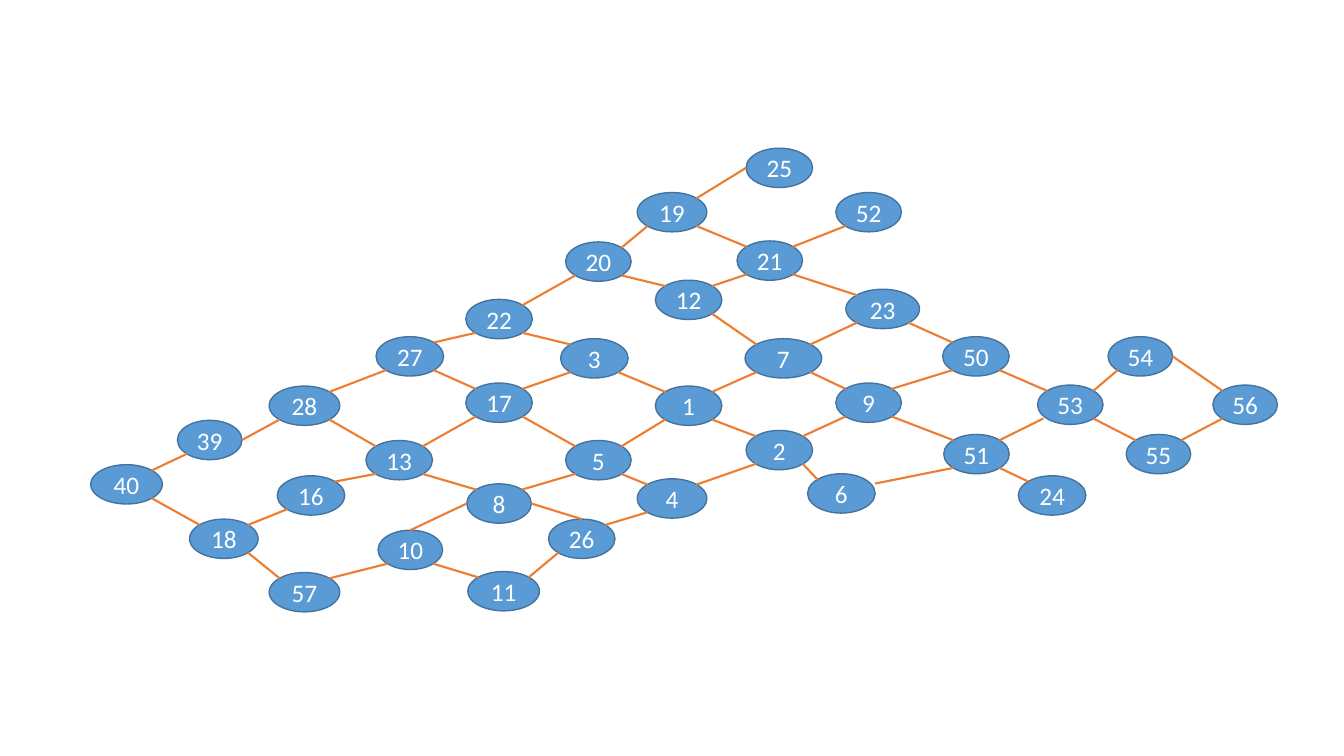
"""Draw a network of numbered ellipses joined by straight links."""
from lxml import etree
from pptx import Presentation
from pptx import util as u
from pptx.dml.color import RGBColor
from pptx.enum import shapes, text
from pptx.oxml.ns import qn

BLUE = RGBColor(0x5B, 0x9B, 0xD5)
DARK_BLUE = RGBColor(0x43, 0x73, 0x9E)
ORANGE = RGBColor(0xED, 0x7D, 0x31)
WHITE = RGBColor(0xFF, 0xFF, 0xFF)

CELL = u.Inches(0.1)
NODE_ROWS = 3.9
FONT = {"name": "Calibri", "size": u.Pt(18)}
FRAME = {"margin_left": 0, "margin_right": 0, "word_wrap": True,
         "vertical_anchor": text.MSO_ANCHOR.MIDDLE}

# number: (column, row, columns wide)
NODES = {
    25: (74, 14.7, 6.6), 54: (109.9, 33.4, 6.4), 56: (120.3, 38.2, 6.4),
    19: (63.2, 19.1, 6.9), 21: (73.1, 23.9, 6.5), 23: (83.9, 28.7, 7.3),
    50: (93.5, 33.4, 6.6), 52: (82.9, 19.1, 6.5), 53: (102.9, 38.2, 6.5),
    55: (111.7, 43.1, 6.4), 20: (56.1, 24, 6.5), 12: (65, 27.8, 6.6),
    7: (73.9, 33.6, 7.6), 9: (82.9, 38, 6.5), 51: (93.6, 43.1, 6.5),
    24: (101, 47.2, 6.7), 22: (46.2, 29.7, 6.6), 3: (55.6, 33.6, 6.7),
    1: (65, 38.3, 6.6), 2: (74, 42.7, 6.6), 6: (80.1, 47, 6.7),
    27: (37.3, 33.4, 6.7), 17: (46.2, 38, 6.6), 5: (56.1, 43.7, 6.5),
    4: (63.2, 47.5, 6.9), 28: (26.7, 38.3, 7), 13: (36.3, 43.7, 6.6),
    8: (46.3, 48, 6.4), 26: (54.4, 51.5, 6.6), 39: (17.6, 41.7, 6.4),
    16: (27.5, 47.2, 6.7), 10: (37.5, 52.6, 6.4), 11: (46.4, 56.7, 7.1),
    40: (9, 46.1, 7.1), 18: (18.8, 51.5, 6.8), 57: (26.7, 56.8, 7),
}

LINKS = [
    (25, 19), (19, 21), (19, 20), (21, 52), (21, 12), (12, 20), (21, 23),
    (23, 50), (53, 50), (50, 9), (23, 7), (53, 51), (53, 54), (53, 55),
    (54, 56), (56, 55), (51, 24), (51, 9), (51, 6), (9, 7), (7, 12),
    (20, 22), (22, 3), (22, 27), (3, 1), (3, 17), (1, 7), (1, 5), (1, 2),
    (2, 9), (2, 6), (2, 4), (27, 17), (17, 5), (5, 4), (27, 28), (28, 13),
    (13, 17), (13, 8), (8, 5), (8, 26), (26, 4), (28, 39), (13, 16),
    (8, 10), (10, 11), (39, 40), (40, 18), (18, 16), (18, 57), (57, 10),
    (11, 26),
]

# connection sites of an ellipse, as shares of its box; the last two are loose
NEAR, FAR = 0.15, 0.85
SITES = {
    "N": (0.5, 0), "NW": (NEAR, NEAR), "W": (0, 0.5), "SW": (NEAR, FAR),
    "S": (0.5, 1), "SE": (FAR, FAR), "E": (1, 0.5), "NE": (FAR, NEAR),
    "loose E": (1, 0.25), "loose SW": (0.09, FAR),
}
SITE_ORDER = list(SITES)
GLUED = 8
# (node, neighbour): site used instead of the facing corner
SIDE_SITES = {
    (25, 19): "W", (54, 56): "E", (39, 28): "E", (8, 10): "W",
    (10, 8): "N", (8, 26): "E", (26, 8): "N",
    (6, 51): "loose E", (53, 51): "loose SW",
}


def set_all(obj, values):
    """Set each attribute in values on obj."""
    for name, value in values.items():
        setattr(obj, name, value)


def add_node(s, number, col, row, cols):
    """Add one numbered ellipse at its grid place."""
    box = [round(n * CELL) for n in (col, row, cols, NODE_ROWS)]
    sp = s.shapes.add_shape(shapes.MSO_SHAPE.OVAL, *box)
    sp.shadow.inherit = False
    sp.fill.solid()
    sp.fill.fore_color.rgb = BLUE
    sp.line.color.rgb = DARK_BLUE
    sp.line.width = u.Pt(1)
    tf = sp.text_frame
    set_all(tf, FRAME)
    p = tf.paragraphs[0]
    p.alignment = text.PP_ALIGN.CENTER
    r = p.add_run()
    r.text = str(number)
    set_all(r.font, FONT)
    r.font.color.rgb = WHITE
    return sp


def site_toward(nodes, here, there):
    """Return the site of one node that faces another."""
    a, b = nodes[here], nodes[there]
    dx = b.left + b.width / 2 - a.left - a.width / 2
    corner = ("S" if b.top > a.top else "N") + ("E" if dx > 0 else "W")
    return SIDE_SITES.get((here, there), corner)


def site_point(sp, site):
    """Return the slide position of a site on an ellipse."""
    fx, fy = SITES[site]
    return round(sp.left + fx * sp.width), round(sp.top + fy * sp.height)


def add_link(s, nodes, start, end):
    """Join two nodes with a straight connector glued to their sites."""
    ends = [("a:stCxn", nodes[start], site_toward(nodes, start, end)),
            ("a:endCxn", nodes[end], site_toward(nodes, end, start))]
    points = [n for _, sp, site in ends for n in site_point(sp, site)]
    c = s.shapes.add_connector(shapes.MSO_CONNECTOR.STRAIGHT, *points)
    c.line.color.rgb = ORANGE
    c.line.width = u.Pt(1.5)
    etree.SubElement(c.element.spPr, qn("a:effectLst"))
    glue = c.element.find(".//" + qn("p:cNvCxnSpPr"))
    for tag, sp, site in ends:
        idx = SITE_ORDER.index(site)
        if idx < GLUED:
            etree.SubElement(glue, qn(tag), id=str(sp.shape_id), idx=str(idx))


def main():
    """Build and save the slide."""
    prs = Presentation()
    prs.slide_width, prs.slide_height = u.Inches(13.33), u.Inches(7.5)
    s = prs.slides.add_slide(prs.slide_layouts[6])
    nodes = {n: add_node(s, n, *place) for n, place in NODES.items()}
    for start, end in LINKS:
        add_link(s, nodes, start, end)
    prs.save("out.pptx")


if __name__ == "__main__":
    main()
